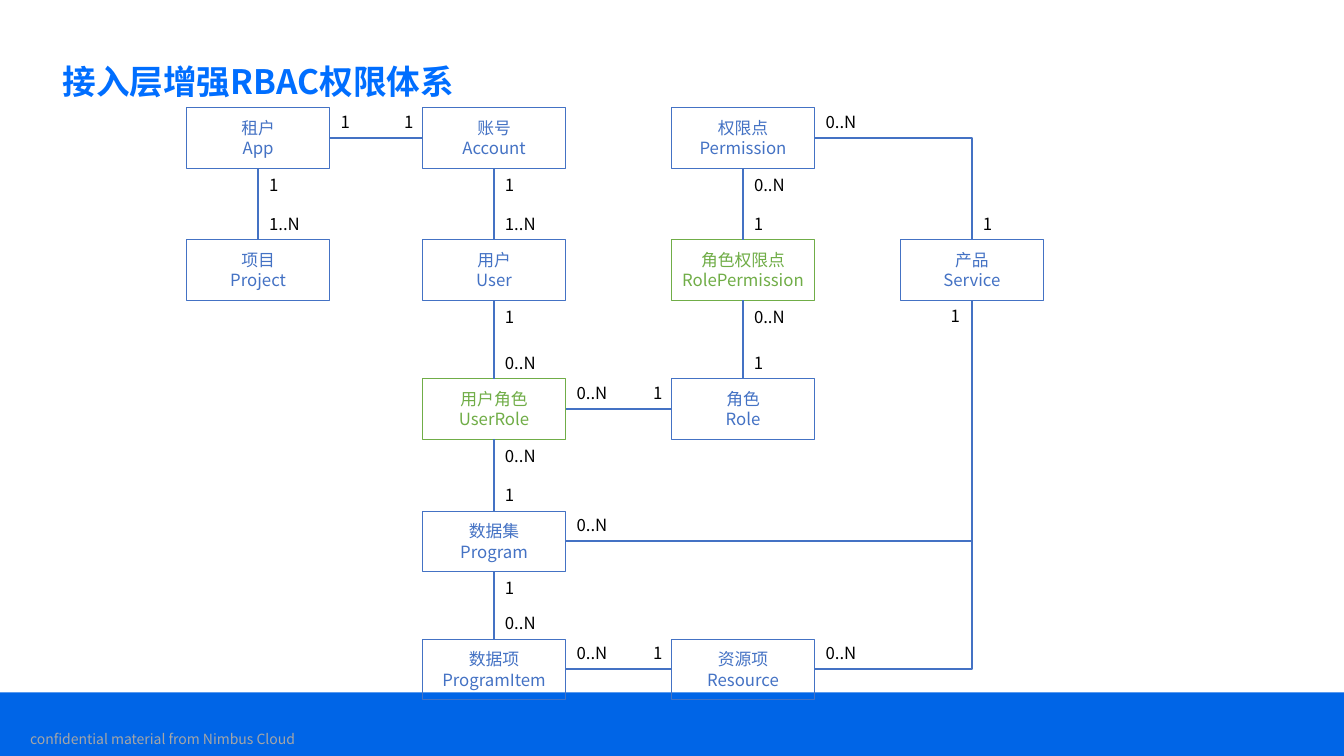
import pptx
import pptx.util
import pptx.dml.color
import pptx.enum.shapes
import pptx.enum.text
import pptx.oxml.ns
from lxml import etree

Inches = pptx.util.Inches
PP_ALIGN = pptx.enum.text.PP_ALIGN
MSO_ANCHOR = pptx.enum.text.MSO_ANCHOR
MSO_SHAPE = pptx.enum.shapes.MSO_SHAPE
MSO_CONNECTOR = pptx.enum.shapes.MSO_CONNECTOR
qn = pptx.oxml.ns.qn

FONT = "Noto Sans CJK SC"
BLUE, GREEN = "4472C4", "70AD47"
W, H = 1.42, 0.6
COLS = [1.85, 4.19, 6.66, 8.93]
ROWS = [1.07, 2.38, 3.76, 5.07, 6.34]
TOP, LEFT, BOTTOM, RIGHT = range(4)


def paint(target, value):
    target.rgb = pptx.dml.color.RGBColor.from_string(value)


def write(tf, text, size=12, color="000000", bold=False, align=PP_ALIGN.LEFT,
          anchor=MSO_ANCHOR.TOP, spacing=None):
    tf.word_wrap = True
    tf.vertical_anchor = anchor
    for i, line in enumerate(text.split("\n")):
        p = tf.paragraphs[0] if i == 0 else tf.add_paragraph()
        p.alignment = align
        p.line_spacing = spacing
        r = p.add_run()
        r.text = line
        r.font.size = pptx.util.Pt(size)
        r.font.bold = bold
        r.font.name = FONT
        paint(r.font.color, color)
        etree.SubElement(r.font._element, qn("a:ea")).set("typeface", FONT)


prs = pptx.Presentation()
prs.slide_width, prs.slide_height = Inches(13.33), Inches(7.5)
s = prs.slides.add_slide(prs.slide_layouts[5])

title = s.shapes.title
title.left, title.top = Inches(0.52), Inches(0.52)
title.width, title.height = Inches(11.5), Inches(0.62)
write(title.text_frame, "接入层增强RBAC权限体系", size=24, color="006EFF", bold=True,
      anchor=MSO_ANCHOR.MIDDLE, spacing=0.9)

band = s.shapes.add_shape(MSO_SHAPE.RECTANGLE, 0, Inches(6.87), Inches(13.33), Inches(0.63))
band.shadow.inherit = False
band.fill.solid()
paint(band.fill.fore_color, "0065E7")
band.line.fill.background()

footer = s.shapes.add_textbox(Inches(0.2), Inches(7.13), Inches(3.63), Inches(0.4))
write(footer.text_frame, "confidential material from Nimbus Cloud", size=10, color="A6A6A6",
      anchor=MSO_ANCHOR.MIDDLE)

entities = [
    ("App", "租户", 0, 0, BLUE),
    ("Account", "账号", 1, 0, BLUE),
    ("Permission", "权限点", 2, 0, BLUE),
    ("Project", "项目", 0, 1, BLUE),
    ("User", "用户", 1, 1, BLUE),
    ("RolePermission", "角色权限点", 2, 1, GREEN),
    ("Service", "产品", 3, 1, BLUE),
    ("UserRole", "用户角色", 1, 2, GREEN),
    ("Role", "角色", 2, 2, BLUE),
    ("Program", "数据集", 1, 3, BLUE),
    ("ProgramItem", "数据项", 1, 4, BLUE),
    ("Resource", "资源项", 2, 4, BLUE),
]
boxes, corners = {}, {}
for name, label, col, row, color in entities:
    x, y = corners[name] = COLS[col], ROWS[row]
    sp = boxes[name] = s.shapes.add_shape(
        MSO_SHAPE.RECTANGLE, Inches(x), Inches(y), Inches(W), Inches(H))
    sp.shadow.inherit = False
    sp.fill.background()
    paint(sp.line.color, color)
    sp.line.width = pptx.util.Pt(0.75)
    tf = sp.text_frame
    tf.margin_left = tf.margin_right = Inches(0.05)
    write(tf, f"{label}\n{name}", color=color, align=PP_ALIGN.CENTER, anchor=MSO_ANCHOR.MIDDLE)

relations = [
    ("App", RIGHT, "1", "Account", LEFT, "1"),
    ("App", BOTTOM, "1", "Project", TOP, "1..N"),
    ("Account", BOTTOM, "1", "User", TOP, "1..N"),
    ("User", BOTTOM, "1", "UserRole", TOP, "0..N"),
    ("UserRole", BOTTOM, "0..N", "Program", TOP, "1"),
    ("Program", BOTTOM, "1", "ProgramItem", TOP, "0..N"),
    ("Permission", BOTTOM, "0..N", "RolePermission", TOP, "1"),
    ("RolePermission", BOTTOM, "0..N", "Role", TOP, "1"),
    ("UserRole", RIGHT, "0..N", "Role", LEFT, "1"),
    ("ProgramItem", RIGHT, "0..N", "Resource", LEFT, "1"),
    ("Permission", RIGHT, "0..N", "Service", TOP, "1"),
    ("Program", RIGHT, "0..N", "Service", BOTTOM, None),
    ("Resource", RIGHT, "0..N", "Service", BOTTOM, None),
]
offsets = {
    TOP: (W / 2 + 0.01, -0.31),
    LEFT: (-0.28, H / 2 - 0.31),
    BOTTOM: (W / 2 + 0.01, H + 0.01),
    RIGHT: (W + 0.01, H / 2 - 0.31),
}
labels = [(corners["Service"][0] + W / 2 - 0.31, corners["Service"][1] + H, "1")]
for start, side, start_label, end, end_side, end_label in relations:
    bent = side == RIGHT and end_side != LEFT
    kind = MSO_CONNECTOR.ELBOW if bent else MSO_CONNECTOR.STRAIGHT
    c = s.shapes.add_connector(kind, 0, 0, 0, 0)
    c.begin_connect(boxes[start], side)
    c.end_connect(boxes[end], end_side)
    paint(c.line.color, BLUE)
    c.line.width = pptx.util.Pt(1.5)
    spPr = c._element.spPr
    etree.SubElement(spPr, qn("a:effectLst"))
    if bent:
        spPr.find(qn("a:prstGeom")).set("prst", "bentConnector2")
    for name, at, text in [(start, side, start_label), (end, end_side, end_label)]:
        if text:
            (x, y), (dx, dy) = corners[name], offsets[at]
            labels.append((x + dx, y + dy, text))

for x, y, text in labels:
    width = 0.3 if text == "1" else 0.55
    tb = s.shapes.add_textbox(Inches(x), Inches(y), Inches(width), Inches(0.3))
    write(tb.text_frame, text)

prs.save("out.pptx")
